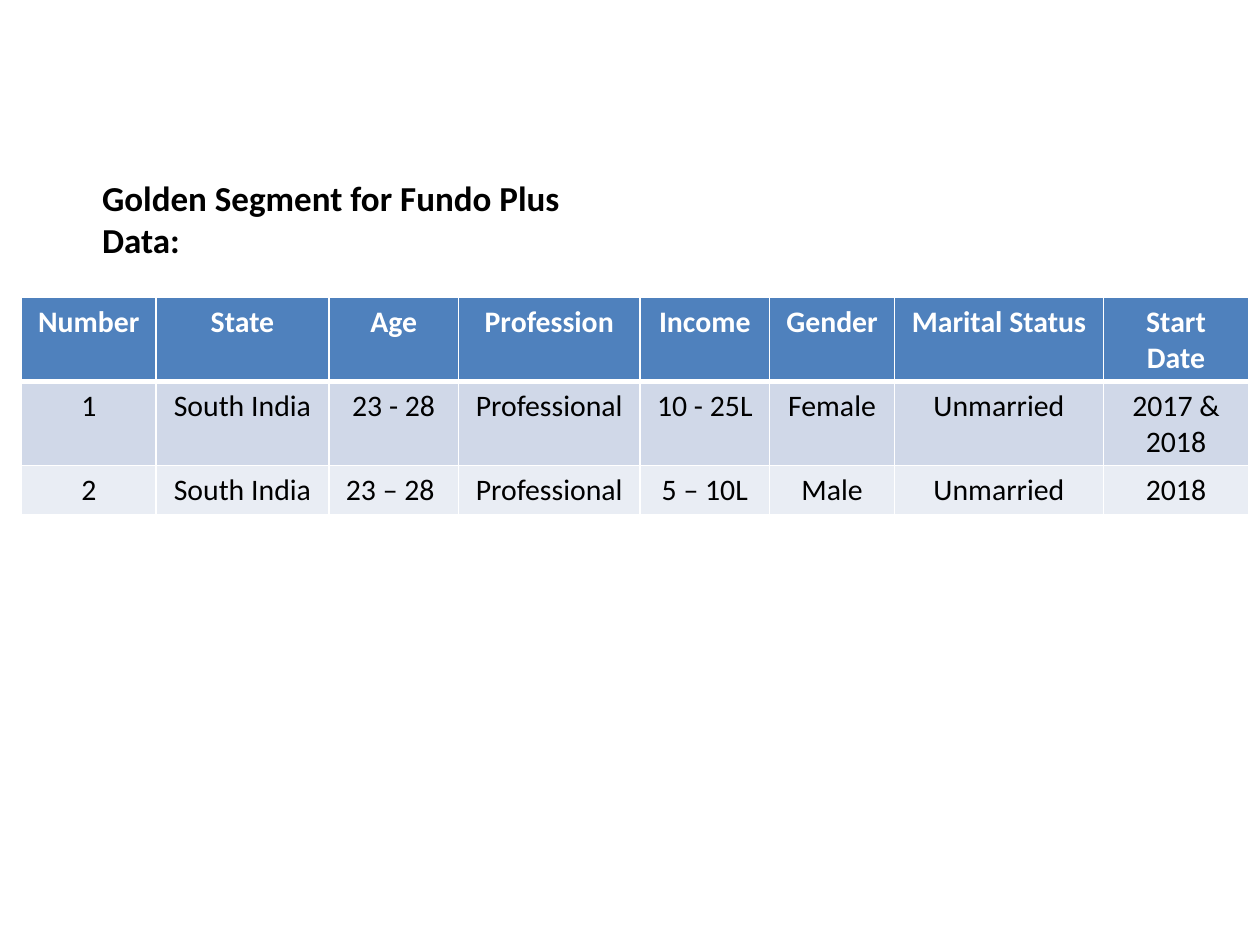
from dataclasses import dataclass

from lxml.etree import SubElement
from pptx import Presentation
from pptx.dml.color import RGBColor
from pptx.enum.text import MSO_ANCHOR, MSO_AUTO_SIZE, PP_ALIGN
from pptx.oxml.ns import qn
from pptx.util import Inches, Pt


@dataclass(frozen=True)
class Theme:
    font: str = "Calibri"
    ink: str = "000000"
    white: str = "FFFFFF"
    head: str = "4F81BD"
    bands: tuple = ("D0D8E8", "E9EDF4")
    title: int = 20
    cell: int = 17
    thin: int = 1
    thick: int = 3


THEME = Theme()

TITLE = "Golden Segment for Fundo Plus Data:"
ROWS = [
    ["Number", "State", "Age", "Profession", "Income", "Gender",
     "Marital Status", "Start Date"],
    ["1", "South India", "23 - 28", "Professional", "10 - 25L", "Female",
     "Unmarried", "2017 & 2018"],
    ["2", "South India", "23 – 28 ", "Professional", "5 – 10L", "Male",
     "Unmarried", "2018"],
]
WIDTHS = [1.07, 1.37, 1.03, 1.44, 1.03, 0.99, 1.66, 1.15]
HEIGHTS = [0.39, 0.64, 0.39]


def style(para, size, color, bold, align):
    para.alignment = align
    font = para.runs[0].font
    looks = {"name": THEME.font, "size": Pt(size), "bold": bold}
    for key, value in looks.items():
        setattr(font, key, value)
    font.color.rgb = RGBColor.from_string(color)


def edge(cell, top, bottom):
    props = cell._tc.get_or_add_tcPr()
    sides = {"L": THEME.thin, "R": THEME.thin, "T": top, "B": bottom}
    for side, width in sides.items():
        line = SubElement(props, qn("a:ln" + side), w=str(Pt(width)))
        fill = SubElement(line, qn("a:solidFill"))
        SubElement(fill, qn("a:srgbClr"), val=THEME.white)


def add_title(slide, left, top, width, height):
    title = slide.shapes.title
    box = {"left": left, "top": top, "width": width, "height": height}
    for key, value in box.items():
        setattr(title, key, Inches(value))
    frame = title.text_frame
    frame.text = TITLE
    looks = {"word_wrap": False, "auto_size": MSO_AUTO_SIZE.SHAPE_TO_FIT_TEXT,
             "vertical_anchor": MSO_ANCHOR.TOP}
    for key, value in looks.items():
        setattr(frame, key, value)
    style(frame.paragraphs[0], THEME.title, THEME.ink, True, PP_ALIGN.LEFT)


def add_grid(slide, left, top):
    table = slide.shapes.add_table(
        len(ROWS), len(WIDTHS), Inches(left), Inches(top),
        Inches(sum(WIDTHS)), Inches(sum(HEIGHTS))).table
    for col, width in zip(table.columns, WIDTHS):
        col.width = Inches(width)
    for row, height in zip(table.rows, HEIGHTS):
        row.height = Inches(height)

    # Header row first, then alternating bands
    for i, texts in enumerate(ROWS):
        head = i == 0
        fill = THEME.head if head else THEME.bands[(i - 1) % 2]
        color = THEME.white if head else THEME.ink
        upper = THEME.thick if i == 1 else THEME.thin
        lower = THEME.thick if head else THEME.thin
        for j, text in enumerate(texts):
            cell = table.cell(i, j)
            cell.text = text
            style(cell.text_frame.paragraphs[0], THEME.cell, color, head,
                  PP_ALIGN.CENTER)
            edge(cell, upper, lower)
            cell.fill.solid()
            cell.fill.fore_color.rgb = RGBColor.from_string(fill)


def main():
    deck = Presentation()
    deck.slide_width, deck.slide_height = Inches(10), Inches(7.5)
    slide = deck.slides.add_slide(deck.slide_layouts.get_by_name("Title Only"))
    # Segment table
    add_grid(slide, 0.17, 2.36)
    # Heading
    add_title(slide, 0.71, 1.35, 4.45, 0.44)
    deck.save("out.pptx")


main()
